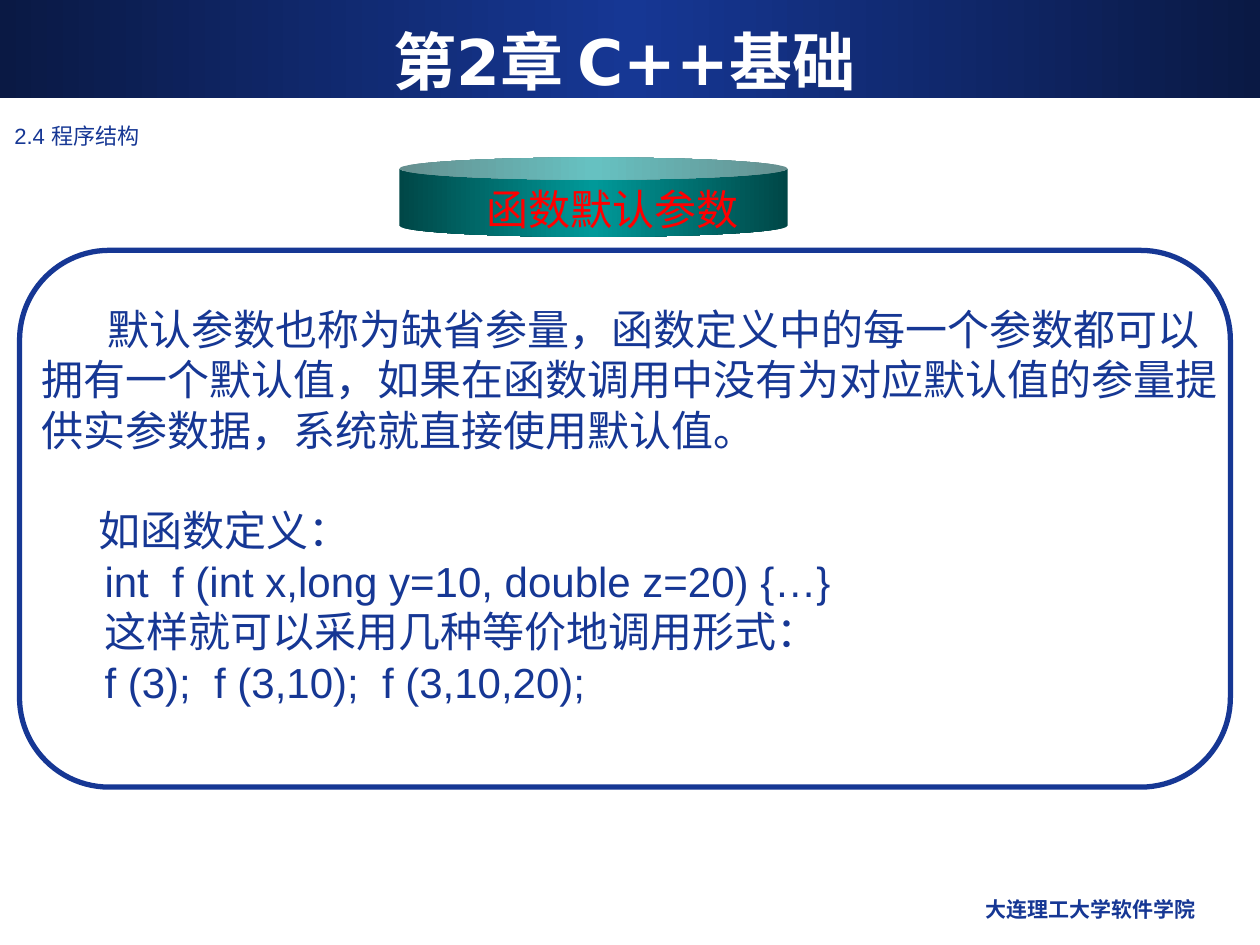
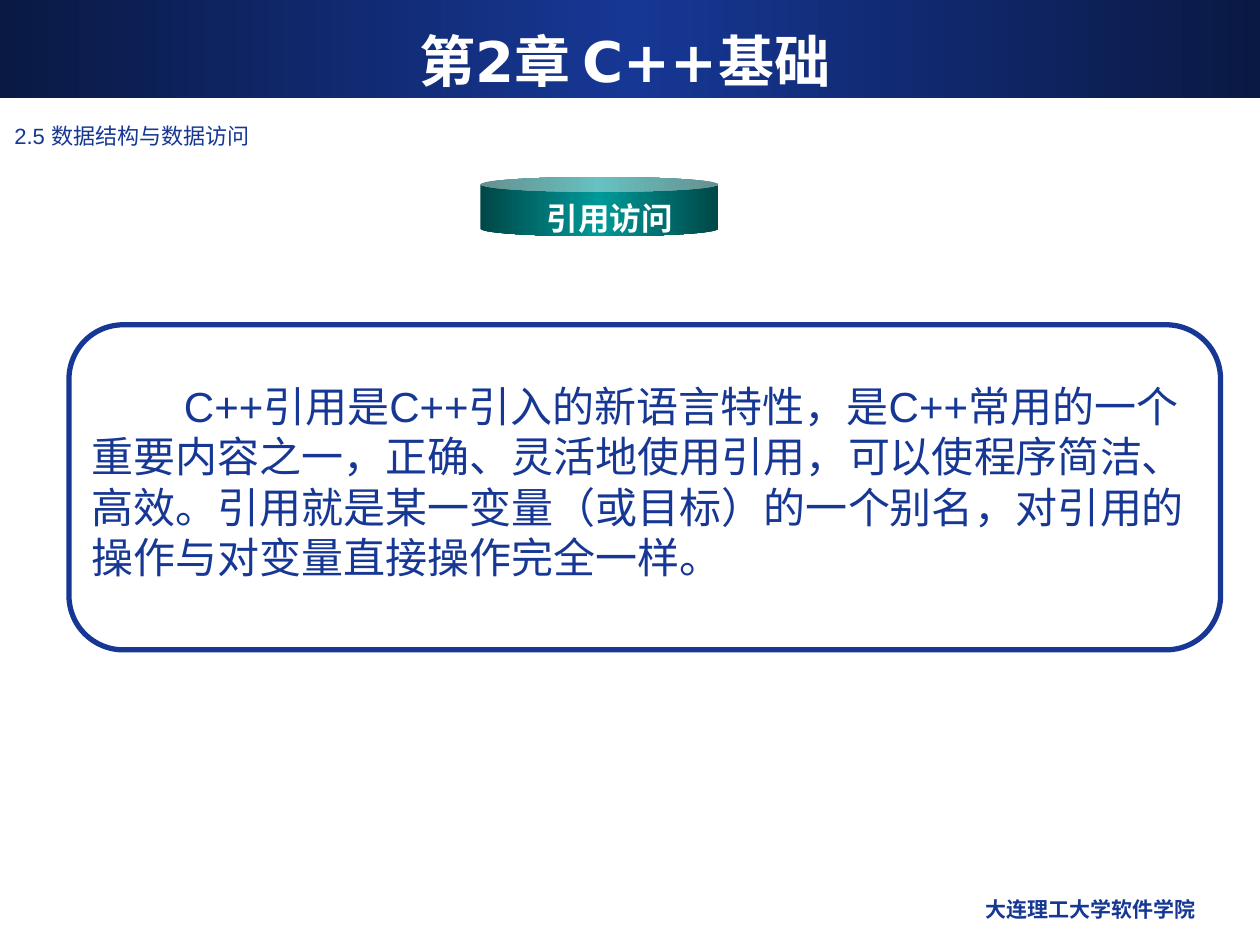
import copy

import pptx
import pptx.dml.color
import pptx.enum.lang
import pptx.enum.shapes
import pptx.enum.text
import pptx.oxml.ns
import pptx.util

COLORS = {
    "navy": "163794",
    "navy_edge": "0A1944",
    "teal": "009999",
    "teal_edge": "004747",
    "red": "FF0000",
    "white": "FFFFFF",
}
SHAPES = pptx.enum.shapes.MSO_SHAPE
ALIGN = pptx.enum.text.PP_ALIGN
ANCHOR = pptx.enum.text.MSO_ANCHOR
COLUMNS, ROWS = 40, 30
HEADING_FONT, TEXT_FONT = "DejaVu Sans", "Arial"


def rgb(name):
    return pptx.dml.color.RGBColor.from_string(COLORS[name])


def write(frame, text, size=24, font=TEXT_FONT, color="navy", bold=False,
          align=ALIGN.LEFT, level=0, margin=0, first_line=0, before=0):
    paragraph = frame.add_paragraph() if frame.text else frame.paragraphs[0]
    paragraph.level = level
    paragraph.alignment = align
    properties = paragraph._p.get_or_add_pPr()
    properties.set("marL", str(pptx.util.Inches(margin)))
    properties.set("indent", str(pptx.util.Inches(first_line)))
    properties.set("hangingPunct", "0")
    properties.append(properties.makeelement(pptx.oxml.ns.qn("a:buNone"), {}))
    paragraph.space_before = pptx.util.Pt(before)
    run = paragraph.add_run()
    run.text = text
    run.font.name = font
    run.font.size = pptx.util.Pt(size)
    run.font.bold = bold
    run.font.color.rgb = rgb(color)
    run.font.language_id = pptx.enum.lang.MSO_LANGUAGE_ID.SIMPLIFIED_CHINESE


class Lecture:
    def __init__(self):
        self.deck = pptx.Presentation()
        self.deck.slide_width = pptx.util.Inches(10)
        self.deck.slide_height = pptx.util.Inches(7.5)
        self.slide = None

    def place(self, left, top, width, height):
        column = self.deck.slide_width / COLUMNS
        row = self.deck.slide_height / ROWS
        return (round(left * column), round(top * row),
                round(width * column), round(height * row))

    def prepare(self, frame, wrap=True, anchor=ANCHOR.TOP):
        frame.word_wrap = wrap
        frame.auto_size = pptx.enum.text.MSO_AUTO_SIZE.NONE
        frame.vertical_anchor = anchor
        return frame

    def placeholder(self, holder, area, anchor):
        holder.left, holder.top, holder.width, holder.height = self.place(*area)
        return self.prepare(holder.text_frame, anchor=anchor)

    def shape(self, kind, area, adjustment=None):
        shape = self.slide.shapes.add_shape(kind, *self.place(*area))
        shape.shadow.inherit = False
        if adjustment is not None:
            shape.adjustments[0] = adjustment
        return shape

    def gradient(self, shape, edge, middle):
        shape.line.fill.background()
        shape.fill.gradient()
        shape.fill.gradient_angle = 0
        stops = shape.element.spPr.find(".//" + pptx.oxml.ns.qn("a:gsLst"))
        stops.append(copy.deepcopy(stops[0]))
        for stop, color, position in zip(shape.fill.gradient_stops,
                                         (edge, middle, edge), (0, 0.5, 1)):
            stop.color.rgb = rgb(color)
            stop.position = position

    def label(self, text, area, wrap=True, **style):
        box = self.slide.shapes.add_textbox(*self.place(*area))
        write(self.prepare(box.text_frame, wrap), text, **style)

    def start(self, section, title_size):
        self.slide = self.deck.slides.add_slide(self.deck.slide_layouts[1])
        band = self.shape(SHAPES.RECTANGLE, (0, 0, COLUMNS, 3.12))
        self.gradient(band, "navy_edge", "navy")
        self.slide.shapes.element.insert(2, band.element)
        title = self.placeholder(self.slide.shapes.title,
                                 (1.33, 0.68, 37, 2.48), ANCHOR.MIDDLE)
        write(title, "第2章 C++基础", size=title_size, font=HEADING_FONT,
              color="white", bold=True, align=ALIGN.CENTER)
        self.label("大连理工大学软件学院", (25.66, 28.26, 12.68, 1.4), size=12,
                   font=HEADING_FONT, bold=True, align=ALIGN.RIGHT)
        self.label(section, (0.06, 3.68, 37, 1.32), size=12.6)

    def topic(self, text, can_area, text_area, roundness, **style):
        can = self.shape(SHAPES.CAN, can_area, roundness)
        self.gradient(can, "teal_edge", "teal")
        self.label(text, text_area, wrap=False, align=ALIGN.CENTER, **style)

    def body(self, paragraphs, area):
        frame = self.placeholder(self.slide.placeholders[1], area, ANCHOR.TOP)
        for text, style in paragraphs:
            write(frame, text, **style)

    def frame(self, area):
        outline = self.shape(SHAPES.ROUNDED_RECTANGLE, area, 0.167)
        outline.fill.background()
        outline.line.color.rgb = rgb("navy")
        outline.line.width = pptx.util.Pt(3)


def default_parameters(lecture):
    lecture.start("2.4 程序结构", 36)
    lecture.topic("函数默认参数", (12.68, 5, 12.32, 2.52),
                  (15.04, 5.64, 8.8, 2), 0.28, color="red")
    example = {"level": 1, "margin": 0.5}
    lecture.body([
        ("默认参数也称为缺省参量，函数定义中的每一个参数都可以拥有一个默认值，"
         "如果在函数调用中没有为对应默认值的参量提供实参数据，系统就直接使用默认值。",
         {"first_line": 0.52}),
        ("如函数定义：", {"first_line": 0.45, "before": 28.8}),
        ("int  f (int x,long y=10, double z=20) {…}", example),
        ("这样就可以采用几种等价地调用形式：", example),
        ("f (3);  f (3,10);  f (3,10,20);", example),
    ], (0.92, 9.43, 38.28, 14.8))
    lecture.frame((0.62, 7.95, 38.44, 17.04))


def reference_access(lecture):
    lecture.start("2.5 数据结构与数据访问", 32)
    lecture.topic("引用访问", (15.25, 5.62, 7.56, 1.88),
                  (16.96, 6.12, 4.8, 1.6), 0.25,
                  size=18, color="white", bold=True)
    lecture.body([
        ("C++引用是C++引入的新语言特性，是C++常用的一个重要内容之一，"
         "正确、灵活地使用引用，可以使程序简洁、高效。"
         "引用就是某一变量（或目标）的一个别名，对引用的操作与对变量直接操作完全一样。",
         {"first_line": 0.73}),
    ], (2.52, 11.88, 35.64, 6.8))
    lecture.frame((2.19, 10.31, 36.56, 10.32))


def main():
    lecture = Lecture()
    default_parameters(lecture)
    reference_access(lecture)
    lecture.deck.save("out.pptx")


if __name__ == "__main__":
    main()
